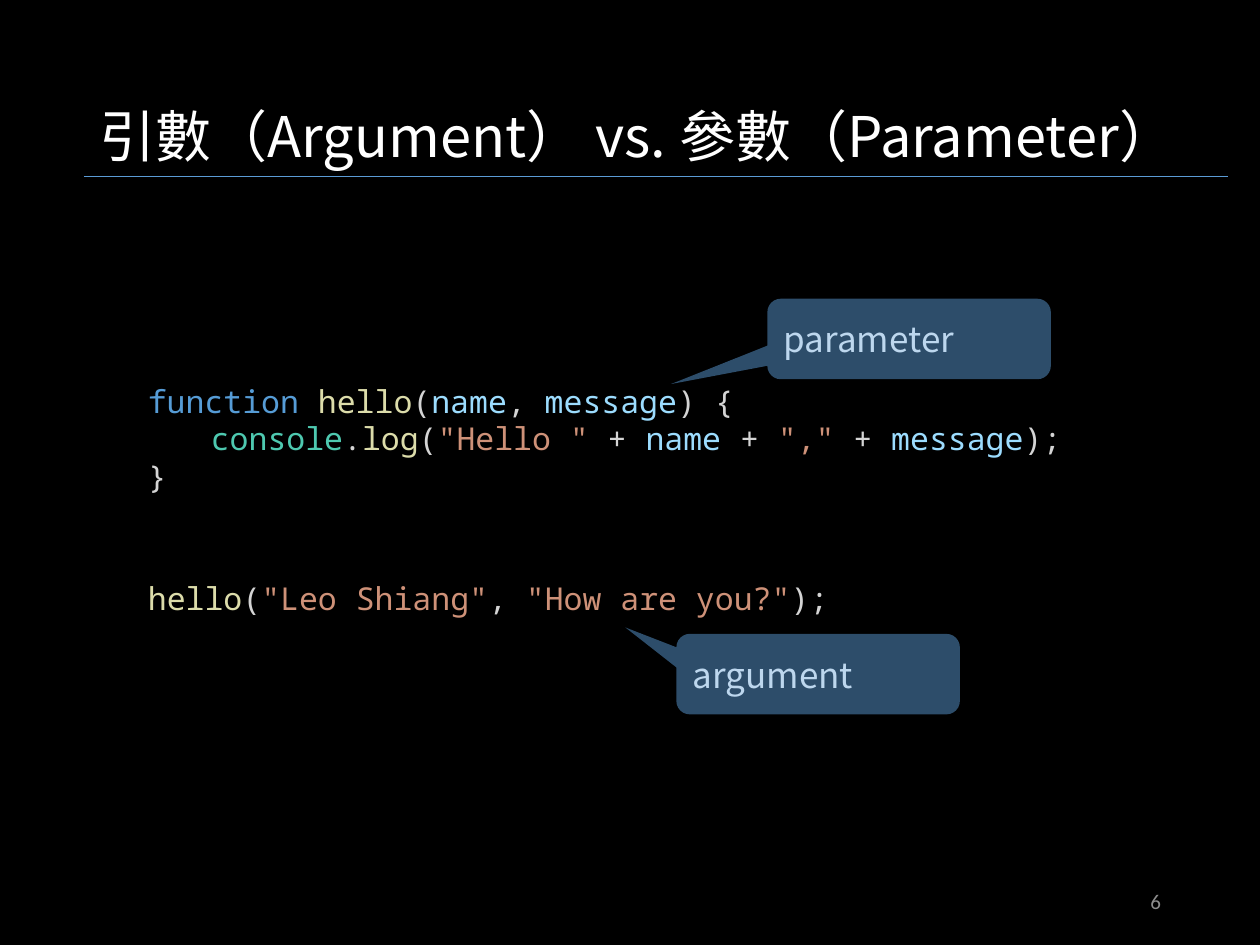
from pptx import Presentation
from pptx.dml.color import RGBColor
from pptx.enum.shapes import MSO_CONNECTOR, MSO_SHAPE
from pptx.enum.text import MSO_ANCHOR, MSO_AUTO_SIZE, PP_ALIGN
from pptx.oxml.ns import qn
from pptx.util import Pt
from lxml.etree import SubElement

COLORS = {
    "background": "000000", "title": "FFFFFF", "accent": "5B9BD5",
    "number": "8C8C8C", "label": "BDD7EE", "keyword": "569CD6",
    "function": "DCDCAA", "plain": "D4D4D4", "variable": "9CDCFE",
    "object": "4EC9B0", "string": "CE9178",
}
SANS, MONO = "Noto Sans CJK TC", "Noto Sans Mono"

DEFINITION = [
    (0, [("function ", "keyword"), ("hello", "function"), ("(", "plain"),
         ("name", "variable"), (", ", "plain"), ("message", "variable"),
         (") {", "plain")]),
    (36, [("console", "object"), (".", "plain"), ("log", "function"),
          ("(", "plain"), ('"Hello "', "string"), (" + ", "plain"),
          ("name", "variable"), (" + ", "plain"), ('","', "string"),
          (" + ", "plain"), ("message", "variable"), (");", "plain")]),
    (0, [("}", "plain")]),
]
CALL = [
    (0, [("hello", "function"), ("(", "plain"), ('"Leo Shiang"', "string"),
         (", ", "plain"), ('"How are you?"', "string"), (");", "plain")]),
]


def rgb(name):
    return RGBColor.from_string(COLORS[name])


def add_text(p, text, size=18, font=MONO, color="plain", align=PP_ALIGN.LEFT):
    p.alignment = align
    r = p.add_run()
    r.text = text
    r.font.size = Pt(size)
    r.font.name = font
    r.font.color.rgb = rgb(color)
    SubElement(r.font._element, qn("a:ea")).set("typeface", font)


def add_title(s, text):
    sp = s.shapes.title
    sp.left, sp.top, sp.width, sp.height = Pt(49.68), Pt(41.76), Pt(650.88), Pt(59.04)
    tf = sp.text_frame
    tf.auto_size = MSO_AUTO_SIZE.NONE
    tf.word_wrap = True
    tf.vertical_anchor = MSO_ANCHOR.BOTTOM
    p = tf.paragraphs[0]
    p.line_spacing = 0.9
    add_text(p, text, size=32, font=SANS, color="title")


def add_rule(s, left, right, y):
    line = s.shapes.add_connector(MSO_CONNECTOR.STRAIGHT, Pt(left), Pt(y), Pt(right), Pt(y))
    line.line.color.rgb = rgb("accent")
    line.line.width = Pt(1)
    SubElement(line._element.spPr, qn("a:effectLst"))


def add_box(s, left, top, width, height):
    tf = s.shapes.add_textbox(Pt(left), Pt(top), Pt(width), Pt(height)).text_frame
    tf.word_wrap = True
    return tf


def add_code(s, left, top, width, height, lines):
    tf = add_box(s, left, top, width, height)
    tf.auto_size = MSO_AUTO_SIZE.SHAPE_TO_FIT_TEXT
    for i, (indent, tokens) in enumerate(lines):
        p = tf.add_paragraph() if i else tf.paragraphs[0]
        if indent:
            p._p.get_or_add_pPr().set("marL", str(Pt(indent)))
        for text, color in tokens:
            add_text(p, text, color=color)


def add_callout(s, left, top, text, tip):
    sp = s.shapes.add_shape(MSO_SHAPE.ROUNDED_RECTANGULAR_CALLOUT,
                            Pt(left), Pt(top), Pt(162), Pt(46))
    sp.shadow.inherit = False
    sp.adjustments[0], sp.adjustments[1] = tip
    sp.fill.solid()
    sp.fill.fore_color.rgb = rgb("accent")
    fill = sp._element.spPr.find(qn("a:solidFill"))
    SubElement(fill[0], qn("a:alpha")).set("val", "50000")
    sp.line.fill.background()
    tf = sp.text_frame
    tf.word_wrap = True
    tf.vertical_anchor = MSO_ANCHOR.MIDDLE
    add_text(tf.paragraphs[0], text, size=20, font=SANS, color="label")


def add_number(s, text):
    tf = add_box(s, 508.5, 500.5, 162, 28.75)
    tf.vertical_anchor = MSO_ANCHOR.MIDDLE
    add_text(tf.paragraphs[0], text, size=12, font="Calibri", color="number",
             align=PP_ALIGN.RIGHT)


def main():
    prs = Presentation()
    prs.slide_width, prs.slide_height = Pt(720), Pt(540)
    s = prs.slides.add_slide(prs.slide_layouts[5])
    s.background.fill.solid()
    s.background.fill.fore_color.rgb = rgb("background")
    add_rule(s, 48, 701.5, 100.8)
    add_number(s, "6")
    add_title(s, "引數（Argument） vs. 參數（Parameter）")
    add_code(s, 77.4, 214.5, 623.5, 72.7, DEFINITION)
    add_code(s, 77.4, 327.5, 624, 29, CALL)
    add_callout(s, 386.5, 362.2, "argument", (-0.68, -0.58))
    add_callout(s, 438.5, 170.7, "parameter", (-0.84, 0.56))
    prs.save("out.pptx")


main()
